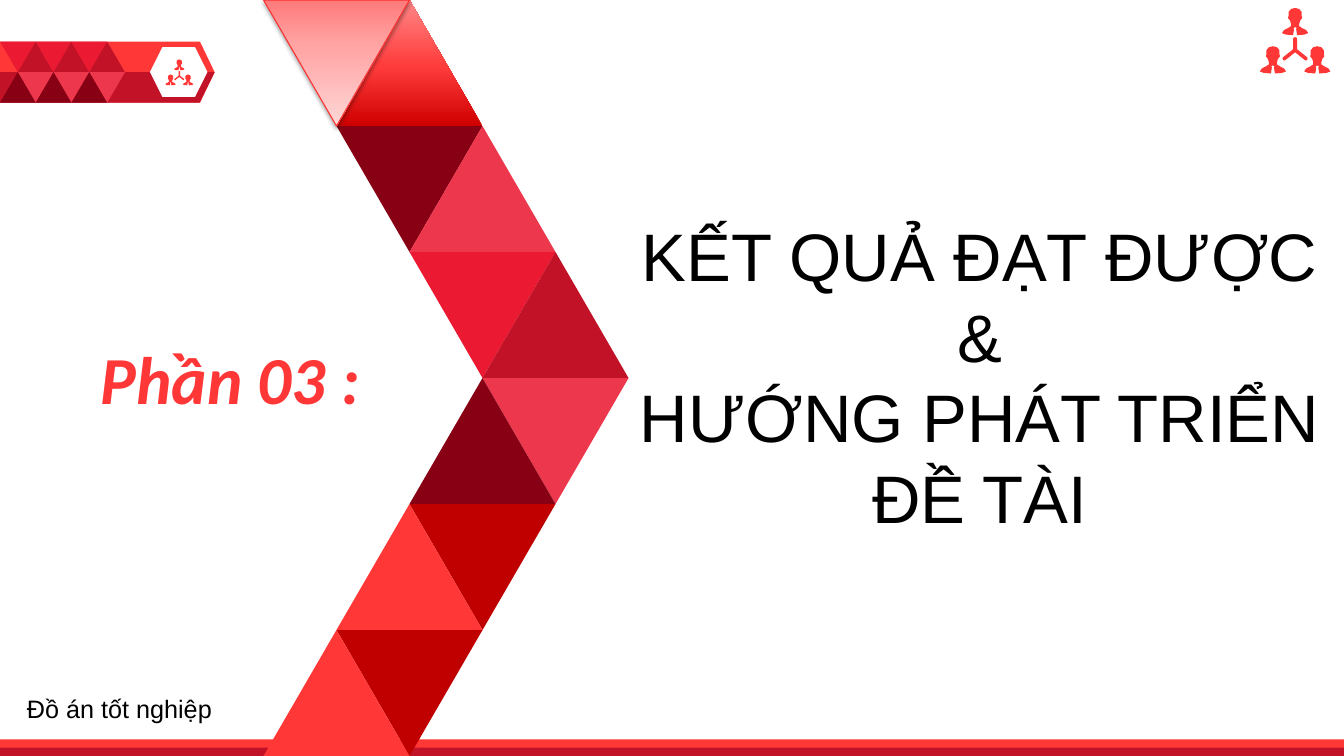
from lxml import etree
from pptx import Presentation
from pptx.dml.color import RGBColor
from pptx.enum.shapes import MSO_SHAPE
from pptx.enum.text import PP_ALIGN
from pptx.oxml import parse_xml
from pptx.oxml.ns import nsdecls, qn
from pptx.util import Cm, Pt

TRIANGLE = MSO_SHAPE.ISOSCELES_TRIANGLE
RECTANGLE = MSO_SHAPE.RECTANGLE
HEXAGON = MSO_SHAPE.HEXAGON
PENTAGON = MSO_SHAPE.PENTAGON
LEFT, CENTER = PP_ALIGN.LEFT, PP_ALIGN.CENTER

COLORS = {
    "red": "FF3737", "crimson": "C21227", "scarlet": "EB1932", "rose": "ED374D",
    "maroon": "880014", "dark red": "C00000", "outline": "FD3030",
    "white": "FFFFFF", "black": "000000",
}
DEEP_GRADIENT = [(0, "CF0000"), (48, "FF3C3C"), (100, "FF8787")]
PALE_GRADIENT = [(0, "FF7A7B"), (35, "FFA3A3"), (100, "FFD6D6")]

WIDTH, HEIGHT = 33.87, 19.05

# Chevron: column (half-triangle steps), row, points down, color
CHEVRON = [
    (1, 1, True, "maroon"), (2, 1, False, "rose"),
    (2, 2, True, "scarlet"), (3, 2, False, "crimson"),
    (3, 3, True, "rose"), (2, 3, False, "maroon"),
    (2, 4, True, "dark red"), (1, 4, False, "red"),
    (1, 5, True, "dark red"), (0, 5, False, "red"),
]
CHEVRON_LEFT, CHEVRON_STEP, CHEVRON_ROW = 6.64, 1.84, HEIGHT / 6

# Banner tile: column, row, points down, color
BANNER_TILE = [
    (0, 0, True, "scarlet"), (1, 0, False, "crimson"),
    (1, 1, True, "rose"), (0, 1, False, "maroon"),
]
BANNER_TOP, BANNER_STEP, BANNER_ROW = 1.05, 0.45, 0.77

# Team icon on a 70 by 65 grid; a person is half an outline, mirrored
HALF_PERSON = [(0, 0), (4, 1), (6.5, 4), (6.5, 8), (7, 10), (5, 12.5), (4, 16),
               (4, 18), (7, 20), (11, 22), (13, 25), (9, 26.5), (2, 27),
               (1, 21), (1.8, 20), (0, 19)]
HEADS = [(35, 0), (13, 38), (57, 38)]
HALF_SPOKES = [(0, 29), (1.5, 29.5), (2, 31), (2, 41), (12, 49), (12.5, 50.5),
               (11.5, 52), (10, 52), (0, 44)]


def mirrored(half, center, top=0):
    """Complete a half outline around its vertical axis."""
    outline = half + [(-x, y) for x, y in reversed(half)]
    return [(center + x, top + y) for x, y in outline]


class Painter:
    def __init__(self, slide):
        self.slide = slide

    def paint(self, shape, color):
        shape.shadow.inherit = False
        shape.fill.solid()
        shape.fill.fore_color.rgb = RGBColor.from_string(COLORS[color])
        shape.line.fill.background()
        return shape

    def shape(self, kind, left, top, width, height, color):
        shape = self.slide.shapes.add_shape(
            kind, Cm(left), Cm(top), Cm(width), Cm(height))
        return self.paint(shape, color)

    def triangle(self, left, top, step, height, down, color):
        triangle = self.shape(TRIANGLE, left, top, 2 * step, height, color)
        triangle.rotation = 180 if down else 0
        return triangle

    def gradient(self, shape, stops):
        """Replace the fill by a gradient running from base to tip."""
        xml = "".join(f'<a:gs pos="{position * 1000}"><a:srgbClr val="{color}"/></a:gs>'
                      for position, color in stops)
        properties = shape.element.spPr
        solid = properties.find(qn("a:solidFill"))
        properties.replace(solid, parse_xml(
            f'<a:gradFill {nsdecls("a")} rotWithShape="1"><a:gsLst>{xml}</a:gsLst>'
            '<a:lin ang="16200000" scaled="0"/></a:gradFill>'))

    def soft_shadow(self, shape):
        effects = shape.element.spPr.find(qn("a:effectLst"))
        shadow = etree.SubElement(effects, qn("a:outerShdw"), blurRad="40000",
                                  dist="20000", dir="5400000", rotWithShape="0")
        color = etree.SubElement(shadow, qn("a:srgbClr"), val=COLORS["black"])
        etree.SubElement(color, qn("a:alpha"), val="37000")

    def outlines(self, contours, color, left=0, top=0, unit=1):
        contours = [[(Cm(left + x * unit), Cm(top + y * unit)) for x, y in contour]
                    for contour in contours]
        builder = self.slide.shapes.build_freeform(*contours[0][0])
        for index, contour in enumerate(contours):
            if index:
                builder.move_to(*contour[0])
            builder.add_line_segments(contour[1:], close=True)
        self.paint(builder.convert_to_shape(), color)

    def team_icon(self, left, top, unit):
        people = [mirrored(HALF_PERSON, x, y) for x, y in HEADS]
        self.outlines(people + [mirrored(HALF_SPOKES, 35)], "red", left, top, unit)

    def text(self, left, top, width, height, lines, size, font="Arial",
             color="black", align=LEFT, emphasis=False):
        box = self.slide.shapes.add_textbox(Cm(left), Cm(top), Cm(width), Cm(height))
        frame = box.text_frame
        frame.word_wrap = True
        frame.text = "\n".join(lines)
        for paragraph in frame.paragraphs:
            paragraph.alignment = align
            paragraph.font.name = font
            paragraph.font.size = Pt(size)
            paragraph.font.bold = paragraph.font.italic = emphasis
            paragraph.font.color.rgb = RGBColor.from_string(COLORS[color])


def draw_banner(painter):
    band = painter.shape(PENTAGON, 0, BANNER_TOP, 5.41, 2 * BANNER_ROW, "red")
    band.adjustments[0] = 0.24
    middle, bottom = BANNER_TOP + BANNER_ROW, BANNER_TOP + 2 * BANNER_ROW
    painter.outlines([[(0, middle), (5.41, middle), (5.03, bottom), (0, bottom)]],
                     "crimson")
    painter.shape(HEXAGON, 3.78, 1.19, 1.45, 1.25, "white")
    painter.team_icon(4.17, 1.5, 0.01)
    for tile in range(3):
        for column, row, down, color in BANNER_TILE:
            painter.triangle((2 * tile + column) * BANNER_STEP,
                             BANNER_TOP + row * BANNER_ROW,
                             BANNER_STEP, BANNER_ROW, down, color)


def draw_chevron(painter):
    deep = painter.triangle(CHEVRON_LEFT + CHEVRON_STEP, 0, CHEVRON_STEP,
                            CHEVRON_ROW, False, "red")
    painter.gradient(deep, DEEP_GRADIENT)
    for column, row, down, color in CHEVRON:
        painter.triangle(CHEVRON_LEFT + column * CHEVRON_STEP, row * CHEVRON_ROW,
                         CHEVRON_STEP, CHEVRON_ROW, down, color)
    pale = painter.triangle(CHEVRON_LEFT, 0, CHEVRON_STEP, CHEVRON_ROW, True, "red")
    painter.gradient(pale, PALE_GRADIENT)
    pale.line.color.rgb = RGBColor.from_string(COLORS["outline"])
    pale.line.width = Pt(0.75)
    painter.soft_shadow(pale)


def main():
    presentation = Presentation()
    presentation.slide_width, presentation.slide_height = Cm(WIDTH), Cm(HEIGHT)
    painter = Painter(presentation.slides.add_slide(presentation.slide_layouts[6]))

    draw_banner(painter)
    painter.shape(RECTANGLE, 0, 18.63, WIDTH, 0.42, "red")
    painter.shape(RECTANGLE, 0, 18.84, WIDTH, 0.21, "crimson")
    draw_chevron(painter)
    painter.text(2.29, 8.38, 10.46, 2.29, ["Phần 03 :"], 48, "Calibri", "red",
                 emphasis=True)
    painter.text(15.8, 5.28, 17.78, 8.46,
                 ["KẾT QUẢ ĐẠT ĐƯỢC", "&", "HƯỚNG PHÁT TRIỂN", "ĐỀ TÀI"], 48,
                 align=CENTER)
    painter.team_icon(31.75, 0.2, 0.0254)
    painter.text(0.43, 17.35, 7.19, 1.02, ["Đồ án tốt nghiệp"], 18)
    presentation.save("out.pptx")


if __name__ == "__main__":
    main()
